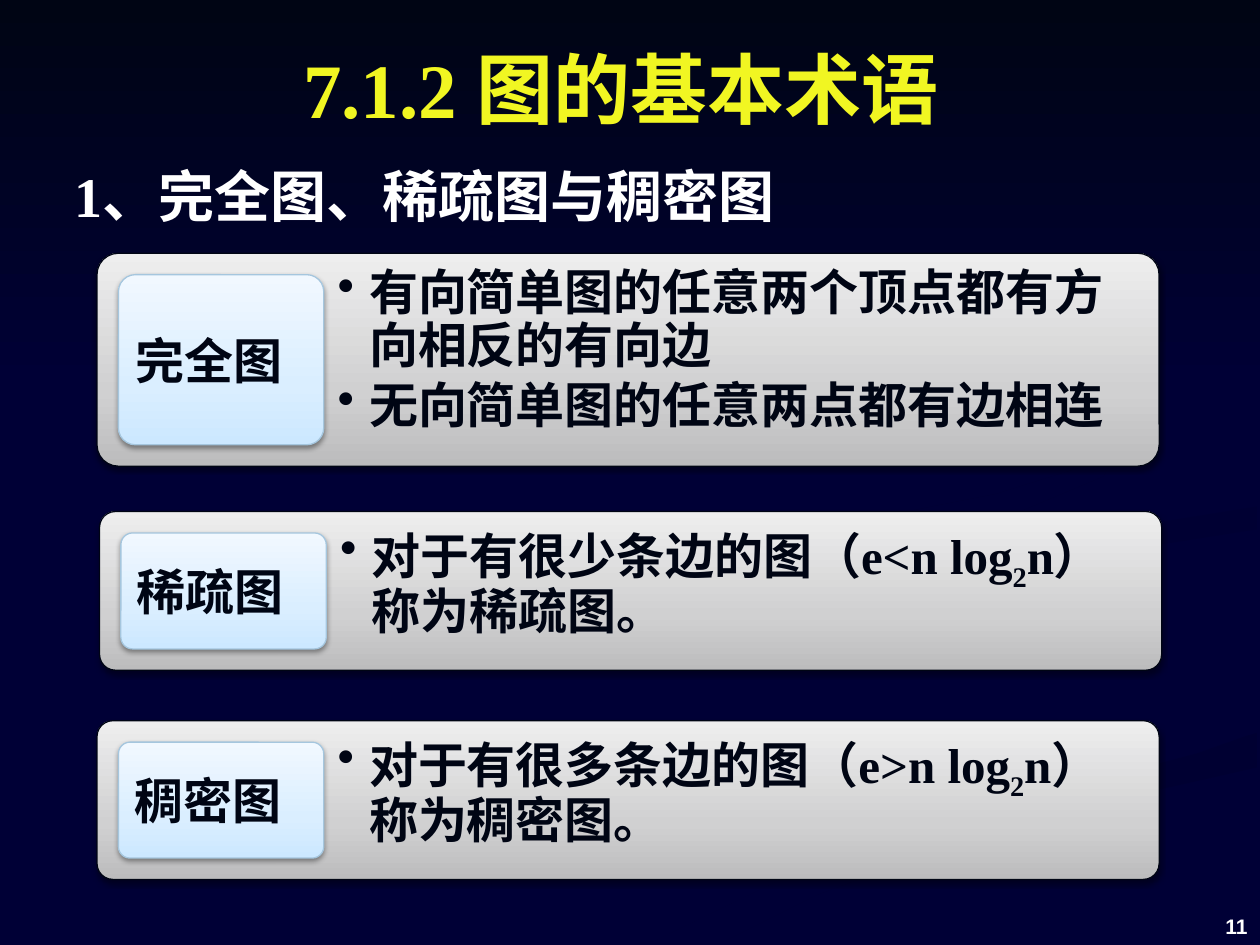
from dataclasses import dataclass
from typing import NamedTuple

from lxml import etree
from pptx import Presentation
from pptx.dml.color import RGBColor
from pptx.enum.shapes import MSO_SHAPE
from pptx.enum.text import MSO_ANCHOR, PP_ALIGN
from pptx.oxml.ns import qn
from pptx.util import Emu, Inches, Pt

ROUNDED, RECTANGLE = MSO_SHAPE.ROUNDED_RECTANGLE, MSO_SHAPE.RECTANGLE
TOP, MIDDLE, BOTTOM = MSO_ANCHOR.TOP, MSO_ANCHOR.MIDDLE, MSO_ANCHOR.BOTTOM
LEFT, CENTER, RIGHT = PP_ALIGN.LEFT, PP_ALIGN.CENTER, PP_ALIGN.RIGHT
COLUMNS, ROWS = 100, 75
CELL = Inches(10) // COLUMNS
CORNER = 0.1
CORNER_TEXT_INSET = 0.29  # share of the corner radius kept free of text


class Gradient(NamedTuple):
    stops: tuple[tuple[int, str], ...]
    angle: int


class TextStyle(NamedTuple):
    size: int
    color: str
    font: str = "Times New Roman"


class Box(NamedTuple):
    """Place and size in grid columns and rows."""
    left: float
    top: float
    width: float
    height: float


class Caption(NamedTuple):
    text: str
    box: Box
    style: TextStyle
    align: PP_ALIGN
    anchor: MSO_ANCHOR


class Ribbon(NamedTuple):
    fill: Gradient
    points: tuple[tuple[float, float], ...]


@dataclass(frozen=True)
class Term:
    name: str
    left: float
    top: float
    height: float
    bullets: tuple[tuple[str, ...], ...]  # every second part is a subscript


@dataclass(frozen=True)
class Theme:
    night: str = "000036"
    ink: str = "000514"
    tile_line: str = "A5C6DE"
    header: Gradient = Gradient(((0, "000514"), (100, "000036")), 90)
    panel: Gradient = Gradient(((0, "BCBCBD"), (35, "D0D0D1"), (100, "EEEEEE")), 270)
    tile: Gradient = Gradient(((0, "CCE8FF"), (35, "DAEEFF"), (100, "F1F8FF")), 270)
    title: TextStyle = TextStyle(44, "F1F622")
    heading: TextStyle = TextStyle(32, "FFFFFF")
    body: TextStyle = TextStyle(28, "000514")
    number: TextStyle = TextStyle(12, "FFFFFF", "Arial")


THEME = Theme()


def shade(start: str, end: str, angle: int) -> Gradient:
    return Gradient(((0, start), (100, end)), angle)


RIBBONS = (
    Ribbon(shade("000036", "000034", 0), (
        (78.1, 55.3), (73.1, 53.3), (66.1, 51.3), (60.2, 49), (57.5, 46.6), (57.5, 45.9),
        (57, 47.2), (59.3, 49.1), (67.9, 51.9), (77, 55.1), (78.6, 56.6), (76.7, 58.7),
        (68.4, 61.3), (53.9, 64.9), (41.7, 69), (30, 74.9), (36.1, 74.9), (46.6, 70),
        (59.4, 65.6), (74, 61.8), (79.1, 59.7), (80, 58.1), (79.2, 56.1))),
    Ribbon(shade("000036", "000034", 45), (
        (94.3, 57), (91.9, 54.7), (85, 52.4), (77.4, 50.3), (73, 47.9), (72.4, 46.4),
        (73.3, 48.8), (76.6, 51.2), (83.8, 53.6), (90, 55.7), (91.8, 58.1), (89.4, 60.5),
        (93.2, 58.9))),
    Ribbon(shade("000032", "000036", 90), (
        (51.9, 74.7), (50.3, 74.9), (57.1, 74.9), (64.9, 71), (75.2, 67.2), (86.1, 64),
        (99.8, 60.9), (99.8, 58.1), (95, 59.8), (86.7, 62), (76.4, 64.7), (63, 69.3))),
    Ribbon(shade("000036", "000036", 0), (
        (72.5, 46.4), (74.5, 49), (81.2, 51.5), (88.9, 53.5), (93.9, 56.2), (93.6, 58.7),
        (86.9, 61.1), (74.3, 64.3), (61.9, 68.4), (47.7, 74.9), (51.9, 74.7), (63, 69.3),
        (76.5, 64.7), (90.4, 61), (99.9, 58.1), (99.9, 53.8), (90.4, 51.9), (81.7, 49.2),
        (78.1, 46.3), (81.1, 43.7), (89.9, 41.8), (99.9, 40.2), (99.9, 38.7), (92, 40.1),
        (78.8, 42.2), (73.2, 44.6))),
    Ribbon(shade("000033", "000036", 45), (
        (78.1, 46), (79.1, 47.8), (82.6, 49.6), (80.5, 47.6), (81.6, 45.9), (87.8, 43.9),
        (99.8, 42), (99.8, 40.2), (89.8, 41.8), (81, 43.7))),
    Ribbon(shade("000032", "000036", 45), (
        (68.3, 43), (80.7, 40.7), (87.6, 37.8), (89.4, 34.4), (87.3, 29.9), (82.1, 26.1),
        (76.2, 23.3), (82.6, 26.6), (87.6, 30.6), (88.9, 33.5), (86.1, 37), (79.1, 39.2),
        (64.9, 42), (58.9, 44.1), (57.7, 46.2), (59, 48.4), (62.2, 50), (59.3, 47),
        (61.4, 44.8))),
)

CAPTIONS = (
    Caption("7.1.2 图的基本术语", Box(4.3, 1.6, 90, 10.7), THEME.title, CENTER, MIDDLE),
    Caption("1、完全图、稀疏图与稠密图", Box(4.9, 12.3, 90, 58.3), THEME.heading, LEFT, TOP),
    Caption("11", Box(76.7, 69.8, 23.3, 5.2), THEME.number, RIGHT, BOTTOM),
)

TERMS = (
    Term("完全图", 7.7, 20.1, 16.9, (("有向简单图的任意两个顶点都有方向相反的有向边",),
                                  ("无向简单图的任意两点都有边相连",))),
    Term("稀疏图", 7.9, 40.6, 12.6, (("对于有很少条边的图（e<n log", "2", "n）称为稀疏图。"),)),
    Term("稠密图", 7.7, 57.2, 12.6, (("对于有很多条边的图（e>n log", "2", "n）称为稠密图。"),)),
)
PANEL_WIDTH, TILE_WIDTH, TILE_MARGIN = 84.3, 16.3, 1.7
PANEL_PADDING, PANEL_TEXT_LEFT = 1.2, 19.1


def grid(value: float) -> Emu:
    return Emu(round(value * CELL))


def paint(shape, gradient: Gradient) -> None:
    """Replace the fill of a line-free or outlined shape by a linear gradient."""
    shape.shadow.inherit = False
    shape.fill.background()
    old = shape._element.spPr.find(qn("a:noFill"))
    fill = etree.Element(qn("a:gradFill"), rotWithShape="1")
    stops = etree.SubElement(fill, qn("a:gsLst"))
    for share, color in gradient.stops:
        stop = etree.SubElement(stops, qn("a:gs"), pos=str(share * 1000))
        etree.SubElement(stop, qn("a:srgbClr"), val=color)
    etree.SubElement(fill, qn("a:lin"), ang=str(gradient.angle * 60000), scaled="0")
    old.getparent().replace(old, fill)


def cast_shadow(shape) -> None:
    effects = shape._element.spPr.find(qn("a:effectLst"))
    shadow = etree.SubElement(effects, qn("a:outerShdw"), blurRad=str(Pt(3.1)),
                              dist=str(Pt(1.6)), dir=str(90 * 60000), rotWithShape="0")
    color = etree.SubElement(shadow, qn("a:srgbClr"), val="000000")
    etree.SubElement(color, qn("a:alpha"), val="38000")


def write(para, text: str, style: TextStyle, subscript: bool = False) -> None:
    span = para.add_run()
    span.text = text
    for name, value in {"size": Pt(style.size), "name": style.font, "bold": True}.items():
        setattr(span.font, name, value)
    span.font.color.rgb = RGBColor.from_string(style.color)
    if subscript:
        span._r.get_or_add_rPr().set("baseline", "-25000")


def add_bullet(para) -> None:
    properties = para._p.get_or_add_pPr()
    properties.set("marL", str(Inches(0.25)))
    properties.set("indent", str(-Inches(0.25)))
    etree.SubElement(properties, qn("a:buChar"), char="•")
    for name, value in {"line_spacing": 0.9, "space_after": Pt(4), "alignment": LEFT}.items():
        setattr(para, name, value)


def draw_ribbon(page, ribbon: Ribbon) -> None:
    start, *rest = [(grid(x), grid(y)) for x, y in ribbon.points]
    builder = page.shapes.build_freeform(*start)
    builder.add_line_segments(rest, close=True)
    shape = builder.convert_to_shape()
    paint(shape, ribbon.fill)
    shape.line.fill.background()


def draw_caption(page, caption: Caption) -> None:
    box = page.shapes.add_textbox(*map(grid, caption.box))
    box.text_frame.word_wrap = True
    box.text_frame.vertical_anchor = caption.anchor
    para = box.text_frame.paragraphs[0]
    para.alignment = caption.align
    write(para, caption.text, caption.style)


def draw_card(page, box: Box, fill: Gradient, line: str, anchor: MSO_ANCHOR):
    card = page.shapes.add_shape(ROUNDED, *map(grid, box))
    card.adjustments[0] = CORNER
    paint(card, fill)
    cast_shadow(card)
    card.line.color.rgb = RGBColor.from_string(line)
    card.line.width = Pt(0.75)
    card.text_frame.word_wrap = True
    card.text_frame.vertical_anchor = anchor
    return card.text_frame


def draw_term(page, term: Term) -> None:
    panel = draw_card(page, Box(term.left, term.top, PANEL_WIDTH, term.height),
                      THEME.panel, THEME.ink, TOP)
    corner = CORNER_TEXT_INSET * CORNER * term.height
    for side in ("left", "top", "right", "bottom"):
        inset = PANEL_TEXT_LEFT if side == "left" else PANEL_PADDING
        setattr(panel, f"margin_{side}", grid(inset - corner))
    for index, parts in enumerate(term.bullets):
        para = panel.add_paragraph() if index else panel.paragraphs[0]
        add_bullet(para)
        for position, part in enumerate(parts):
            write(para, part, THEME.body, subscript=position % 2 == 1)

    tile = draw_card(page, Box(term.left + TILE_MARGIN, term.top + TILE_MARGIN, TILE_WIDTH,
                               term.height - 2 * TILE_MARGIN),
                     THEME.tile, THEME.tile_line, MIDDLE)
    tile.paragraphs[0].alignment = LEFT
    write(tile.paragraphs[0], term.name, THEME.body)


def main() -> None:
    deck = Presentation()
    deck.slide_width, deck.slide_height = grid(COLUMNS), grid(ROWS)
    page = deck.slides.add_slide(deck.slide_layouts[6])
    page.background.fill.solid()
    page.background.fill.fore_color.rgb = RGBColor.from_string(THEME.night)
    for ribbon in RIBBONS:
        draw_ribbon(page, ribbon)
    header = page.shapes.add_shape(RECTANGLE, 0, 0, grid(COLUMNS), grid(30.8))
    paint(header, THEME.header)
    header.line.fill.background()
    for caption in CAPTIONS:
        draw_caption(page, caption)
    for term in TERMS:
        draw_term(page, term)
    deck.save("out.pptx")


if __name__ == "__main__":
    main()
